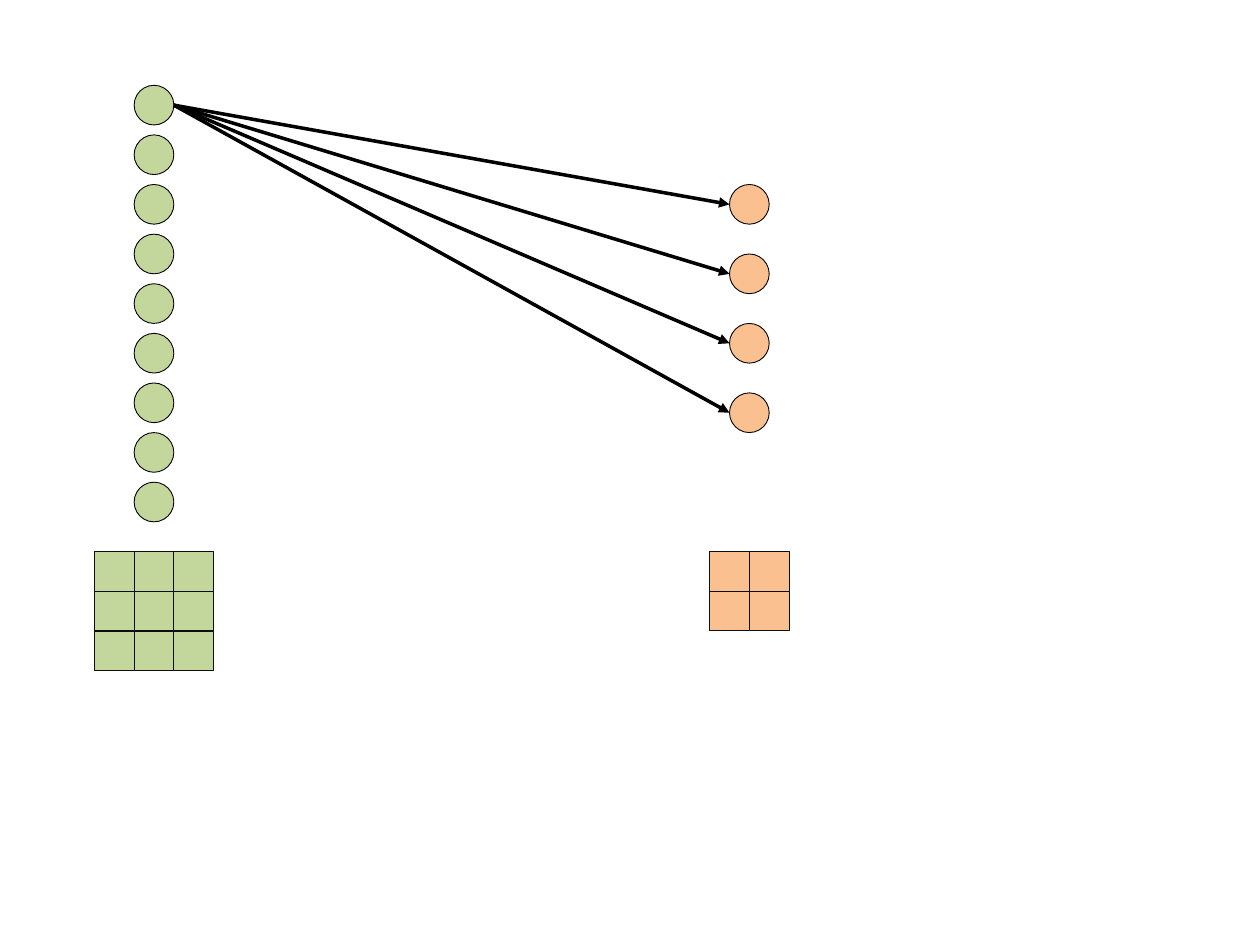
from dataclasses import dataclass

from lxml import etree
from pptx import Presentation
from pptx.dml.color import RGBColor
from pptx.enum.shapes import MSO_CONNECTOR, MSO_SHAPE
from pptx.oxml.ns import qn
from pptx.util import Pt

STRAIGHT = MSO_CONNECTOR.STRAIGHT
OVAL = MSO_SHAPE.OVAL
RECTANGLE = MSO_SHAPE.RECTANGLE

BLANK_LAYOUT = 6
CELL = 22.68
GRID_TOP = 315.25
INPUT_TOP = 48.76
INPUT_PITCH = 28.35
BLACK = "000000"
NEAR_BLACK = "0D0D0D"


@dataclass(frozen=True)
class Layer:
    node_left: float
    node_top: float
    node_pitch: float
    grid_left: float
    grid_size: int
    fill: str

    @property
    def node_tops(self) -> list[float]:
        return [self.node_top + i * self.node_pitch for i in range(self.grid_size**2)]


INPUT = Layer(54 + CELL, INPUT_TOP, INPUT_PITCH, 54, 3, "C3D69B")
OUTPUT = Layer(
    54 + 16 * CELL, INPUT_TOP + 2 * INPUT_PITCH, 39.69, 54 + 15.5 * CELL, 2, "FAC090"
)


def set_line(line, color: str, width: float) -> None:
    line.color.rgb = RGBColor.from_string(color)
    line.width = Pt(width)


def draw_cell(page, kind, left: float, top: float, fill: str, outline: str) -> None:
    shape = page.shapes.add_shape(kind, Pt(left), Pt(top), Pt(CELL), Pt(CELL))
    shape.shadow.inherit = False
    shape.fill.solid()
    shape.fill.fore_color.rgb = RGBColor.from_string(fill)
    set_line(shape.line, outline, 0.5)


def draw_layer(page, layer: Layer) -> None:
    for top in layer.node_tops:
        draw_cell(page, OVAL, layer.node_left, top, layer.fill, BLACK)
    for row in range(layer.grid_size):
        for column in range(layer.grid_size):
            left = layer.grid_left + column * CELL
            top = GRID_TOP + row * CELL
            draw_cell(page, RECTANGLE, left, top, layer.fill, NEAR_BLACK)


def draw_arrow(page, source_top: float, target_top: float) -> None:
    arrow = page.shapes.add_connector(
        STRAIGHT,
        Pt(INPUT.node_left + CELL),
        Pt(source_top + CELL / 2),
        Pt(OUTPUT.node_left),
        Pt(target_top + CELL / 2),
    )
    set_line(arrow.line, BLACK, 2)
    properties = arrow._element.spPr
    etree.SubElement(properties.find(qn("a:ln")), qn("a:tailEnd"), type="triangle")
    etree.SubElement(properties, qn("a:effectLst"))


def main() -> None:
    deck = Presentation()
    deck.slide_width = Pt(720)
    deck.slide_height = Pt(540)
    page = deck.slides.add_slide(deck.slide_layouts[BLANK_LAYOUT])
    for layer in (INPUT, OUTPUT):
        draw_layer(page, layer)
    for target_top in OUTPUT.node_tops:
        draw_arrow(page, INPUT.node_top, target_top)
    deck.save("out.pptx")


if __name__ == "__main__":
    main()
